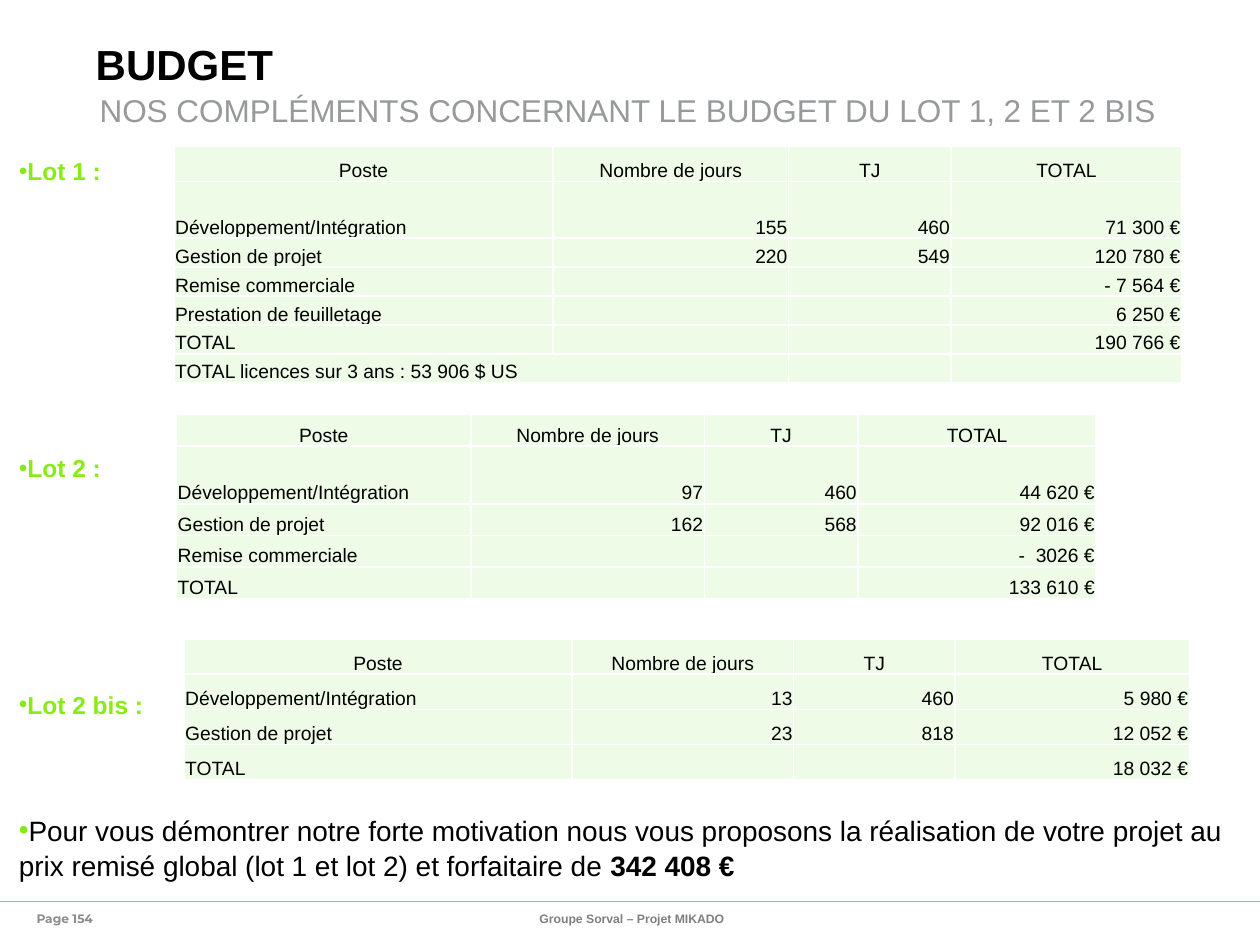
from dataclasses import dataclass

from lxml import etree
from pptx import Presentation
from pptx import util as u
from pptx.dml.color import RGBColor
from pptx.enum import shapes, text
from pptx.oxml import ns

LEFT, CENTER, RIGHT = text.PP_ALIGN.LEFT, text.PP_ALIGN.CENTER, text.PP_ALIGN.RIGHT
BLACK, LIME, MINT, WHITE = "000000", "87EB14", "EDFBE7", "FFFFFF"
HEADER = ("Poste", "Nombre de jours", "TJ", "TOTAL")


@dataclass
class Label:
    """A single line of text in its own box."""
    words: str
    left: float
    top: float
    width: float
    height: float
    size: float
    color: str
    bold: bool = True
    font: str = "Arial"
    align: text.PP_ALIGN = LEFT
    anchor: text.MSO_ANCHOR = text.MSO_ANCHOR.TOP
    line_spacing: float = 1.0


@dataclass
class Lot:
    """The budget table of one lot."""
    left: float
    top: float
    columns: tuple[float, ...]
    heights: tuple[float, ...]
    rows: tuple[tuple[str, ...], ...]


@dataclass
class Bullet:
    """A bulleted paragraph made of (words, bold) spans."""
    spans: tuple[tuple[str, bool], ...]
    size: float
    color: str
    space_before: float


LABELS = (
    Label("BUDGET", 0.76, 0.35, 8.79, 0.36, 24, BLACK, line_spacing=0.9),
    Label("NOS COMPLÉMENTS CONCERNANT LE BUDGET DU LOT 1, 2 ET 2 BIS",
          0.79, 0.78, 8.75, 0.18, 18, "97999B", bold=False, line_spacing=0.8),
    Label("Page 154", 0.29, 7.18, 2.33, 0.22, 7, "8C8C8C",
          font="Montserrat", anchor=text.MSO_ANCHOR.MIDDLE),
    Label("Groupe Sorval – Projet MIKADO", 3.43, 7.18, 3.17, 0.22, 7, "808080",
          align=CENTER, anchor=text.MSO_ANCHOR.MIDDLE),
)

BULLETS = (
    Bullet((("Lot 1 :", True),), 14, LIME, 0),
    Bullet((("Lot 2 :", True),), 14, LIME, 152),
    Bullet((("Lot 2 bis :", True),), 14, LIME, 117.5),
    Bullet((("Pour vous démontrer notre forte motivation nous vous proposons la "
             "réalisation de votre projet au prix remisé global (lot 1 et lot 2) "
             "et forfaitaire de ", False), ("342 408 €", True)), 16, BLACK, 53),
)

LOTS = (
    Lot(1.38, 1.16, (3.01, 1.87, 1.29, 1.83), (0.28, 0.45) + (0.23,) * 5, (
        HEADER,
        ("Développement/Intégration", "155", "460", "71 300 €"),
        ("Gestion de projet", "220", "549", "120 780 €"),
        ("Remise commerciale", "", "", "- 7 564 €"),
        ("Prestation de feuilletage", "", "", "6 250 €"),
        ("TOTAL", "", "", "190 766 €"),
        ("TOTAL licences sur 3 ans : 53 906 $ US", "", "", ""))),
    Lot(1.4, 3.29, (2.34, 1.85, 1.22, 1.89), (0.25, 0.46) + (0.25,) * 3, (
        HEADER,
        ("Développement/Intégration", "97", "460", "44 620 €"),
        ("Gestion de projet", "162", "568", "92 016 €"),
        ("Remise commerciale", "", "", "-  3026 €"),
        ("TOTAL", "", "", "133 610 €"))),
    Lot(1.46, 5.07, (3.08, 1.76, 1.28, 1.86), (0.28,) * 4, (
        HEADER,
        ("Développement/Intégration", "13", "460", "5 980 €"),
        ("Gestion de projet", "23", "818", "12 052 €"),
        ("TOTAL", "", "", "18 032 €"))),
)


def rgb(color: str) -> RGBColor:
    return RGBColor.from_string(color)


def add_xml(parent, tag: str, **attributes: str):
    return etree.SubElement(parent, ns.qn(tag), attributes)


def style(span, size: float, color: str, bold: bool, font: str = "Arial") -> None:
    span.font.name, span.font.size, span.font.bold = font, u.Pt(size), bold
    span.font.color.rgb = rgb(color)


def add_box(page, left: float, top: float, width: float, height: float):
    box = page.shapes.add_textbox(*map(u.Inches, (left, top, width, height)))
    frame = box.text_frame
    frame.word_wrap = True
    frame.margin_left = frame.margin_top = frame.margin_right = frame.margin_bottom = 0
    return frame


def add_label(page, label: Label) -> None:
    frame = add_box(page, label.left, label.top, label.width, label.height)
    frame.vertical_anchor = label.anchor
    frame.text = label.words
    para = frame.paragraphs[0]
    para.alignment, para.line_spacing = label.align, label.line_spacing
    style(para.runs[0], label.size, label.color, label.bold, label.font)


def add_bullets(page, bullets: tuple[Bullet, ...]) -> None:
    frame = add_box(page, 0.15, 1.23, 9.74, 6.01)
    for index, bullet in enumerate(bullets):
        para = frame.add_paragraph() if index else frame.paragraphs[0]
        para.line_spacing = 1.05
        para.space_before = u.Pt(bullet.space_before)
        properties = para._p.get_or_add_pPr()
        properties.set("marL", "0")
        properties.set("indent", str(u.Inches(-0.31)))
        add_xml(add_xml(properties, "a:buClr"), "a:srgbClr", val="82EB14")
        add_xml(properties, "a:buFont", typeface="Arial")
        add_xml(properties, "a:buChar", char="•")
        for words, bold in bullet.spans:
            span = para.add_run()
            span.text = words
            style(span, bullet.size, bullet.color, bold)


def fill_cell(cell, words: str, align: text.PP_ALIGN) -> None:
    # Borders come before the fill in the cell properties
    properties = cell._tc.get_or_add_tcPr()
    for side in ("a:lnL", "a:lnR", "a:lnT", "a:lnB"):
        border = add_xml(properties, side, w=str(u.Pt(1)))
        add_xml(add_xml(border, "a:solidFill"), "a:srgbClr", val=WHITE)
    cell.fill.solid()
    cell.fill.fore_color.rgb = rgb(MINT)
    cell.margin_left = cell.margin_right = cell.margin_top = u.Inches(0.01)
    cell.margin_bottom = 0
    cell.vertical_anchor = text.MSO_ANCHOR.BOTTOM
    cell.text_frame.text = words
    para = cell.text_frame.paragraphs[0]
    para.alignment = align
    for span in para.runs:
        style(span, 11, BLACK, False)
    if not words:  # keeps empty cells from stretching their row
        add_xml(para._p, "a:endParaRPr", sz="1100")


def add_lot(page, lot: Lot):
    frame = page.shapes.add_table(
        len(lot.rows), len(lot.columns), u.Inches(lot.left), u.Inches(lot.top),
        u.Inches(sum(lot.columns)), u.Inches(sum(lot.heights)))
    table = frame.table
    for column, width in zip(table.columns, lot.columns):
        column.width = u.Inches(width)
    for row, height in zip(table.rows, lot.heights):
        row.height = u.Inches(height)
    for i, row in enumerate(lot.rows):
        for j, words in enumerate(row):
            align = CENTER if i == 0 else RIGHT if j else LEFT
            fill_cell(table.cell(i, j), words, align)
    return table


def main() -> None:
    deck = Presentation()
    deck.slide_width, deck.slide_height = u.Inches(10), u.Inches(7.5)
    page = deck.slides.add_slide(deck.slide_layouts[6])

    # Footer rule
    rule = page.shapes.add_connector(
        shapes.MSO_CONNECTOR.STRAIGHT, 0, u.Inches(7.15), u.Inches(10), u.Inches(7.15))
    rule.line.color.rgb = rgb("97D700")
    rule.line.width = u.Pt(0.25)
    add_xml(rule._element.spPr, "a:effectLst")

    # Title, subtitle and footer, then the lot headings and the offer
    for label in LABELS:
        add_label(page, label)
    add_bullets(page, BULLETS)

    # Budget tables; the licence line of the first spans two columns
    first, *_ = [add_lot(page, lot) for lot in LOTS]
    first.cell(6, 0).merge(first.cell(6, 1))

    deck.save("out.pptx")


if __name__ == "__main__":
    main()
